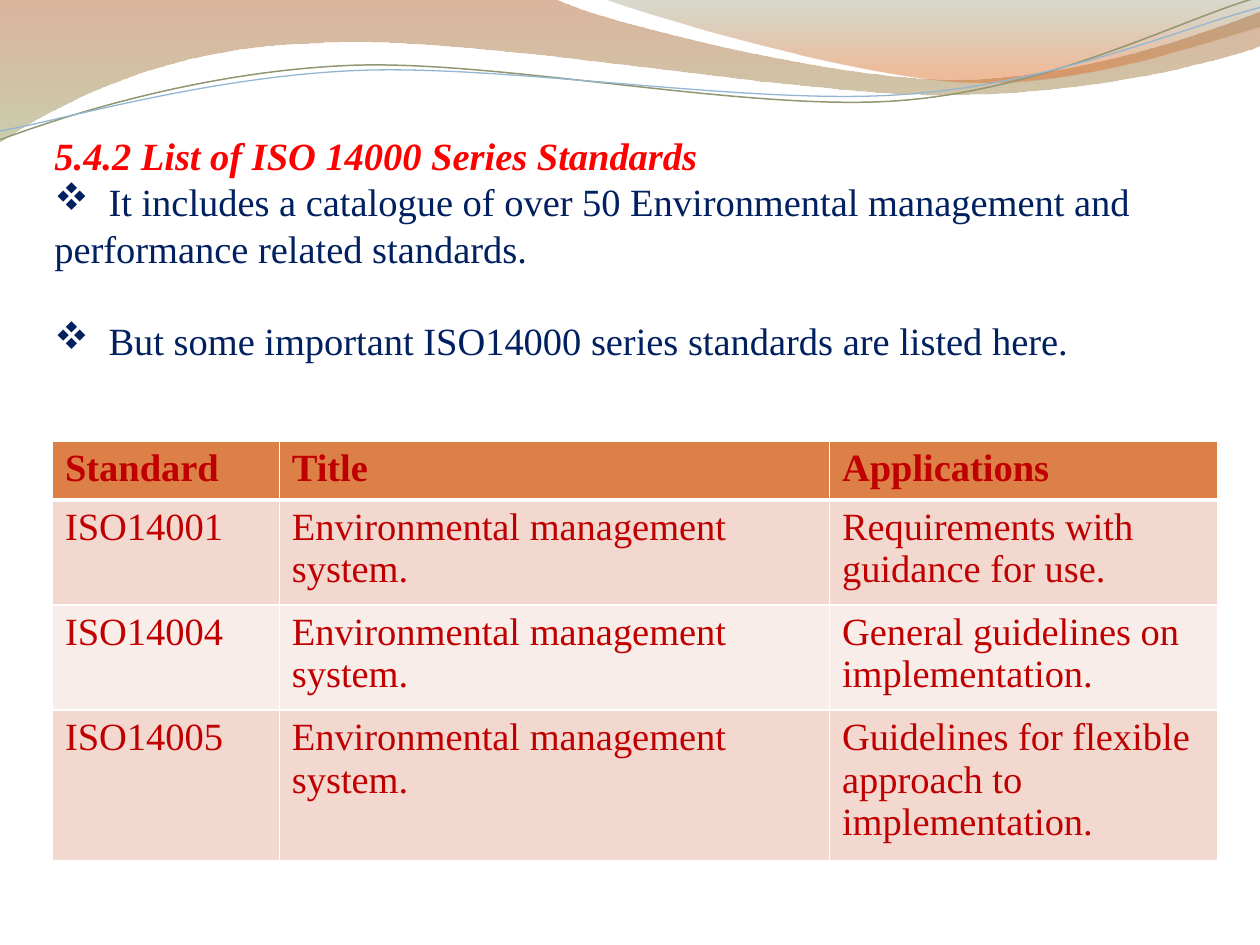
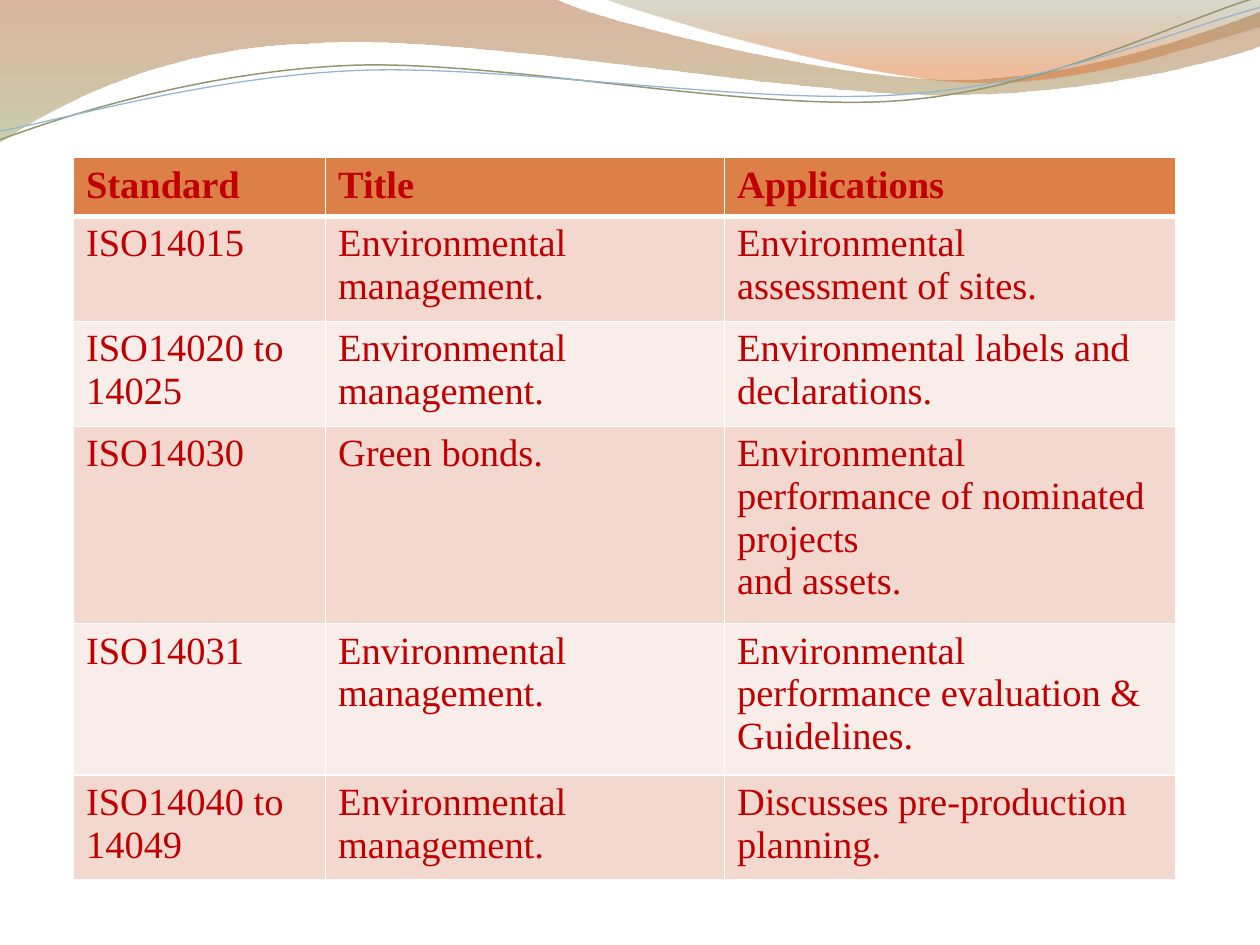
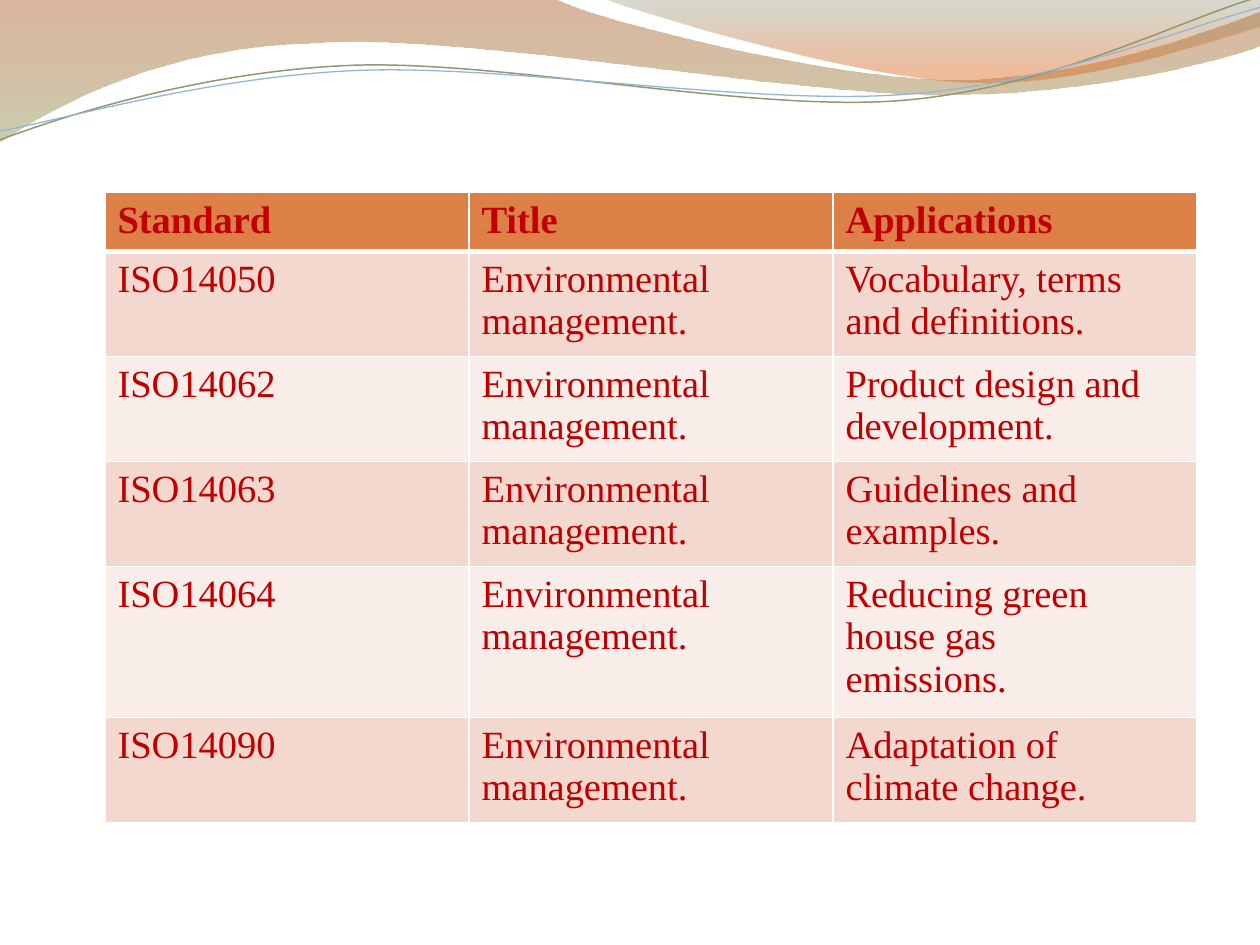
from lxml import etree
from pptx import Presentation
from pptx.dml.color import RGBColor
from pptx.oxml import parse_xml
from pptx.oxml.ns import nsdecls, qn
from pptx.util import Inches, Pt

RED = RGBColor(0xFF, 0x00, 0x00)
NAVY = RGBColor(0x00, 0x20, 0x60)
DARK = RGBColor(0xC0, 0x00, 0x00)
RUST = RGBColor(0xDD, 0x80, 0x47)
ROSE = RGBColor(0xF2, 0xD8, 0xCF)
PALE = RGBColor(0xF9, 0xED, 0xE9)
OLIVE = RGBColor(0x92, 0x97, 0x72)
BLUE = RGBColor(0x94, 0xB6, 0xD2)

PLAIN = {"name": "Times New Roman", "size": Pt(22), "bold": False, "italic": False}
BOLD = {**PLAIN, "bold": True}
TITLE = {**BOLD, "italic": True}

deck = Presentation()
deck.slide_width = Inches(10)
deck.slide_height = Inches(7.5)
COL = deck.slide_width / 120
ROW = deck.slide_height / 90


def style(par, form, color):
    for run in par.runs:
        for key, value in form.items():
            setattr(run.font, key, value)
        run.font.color.rgb = color


def draw(shapes, start, parts, close):
    dots = [(Inches(x), Inches(y)) for part in parts
            for x, y in zip(part[::2], part[1::2])]
    build = shapes.build_freeform(Inches(start[0]), Inches(start[1]))
    build.add_line_segments(dots, close=close)
    shape = build.convert_to_shape()
    lines = iter(list(shape.element.iter(qn("a:lnTo"))))
    for part in parts:
        group = [next(lines) for _ in part[::2]]
        if len(group) == 3:
            curve = etree.Element(qn("a:cubicBezTo"))
            group[0].addprevious(curve)
            for line in group:
                curve.append(line[0])
                line.getparent().remove(line)
    shape.shadow.inherit = False
    return shape


blank = deck.slide_layouts[6]
for holder in list(blank.placeholders):
    holder.element.getparent().remove(holder.element)
slides = [deck.slides.add_slide(blank) for _ in range(3)]

BANDS = [
    ((0, 0), [(4.4, -0.01), (4.76, 0.17, 6.64, 0.63, 7.58, 0.63),
              (8.53, 0.63, 9.58, 0.26, 10, 0.09), (10.01, 0.36),
              (9.83, 0.44, 8.7, 0.76, 7.46, 0.75),
              (6.22, 0.75, 3.82, 0.28, 2.57, 0.34),
              (1.29, 0.36, 0.46, 0.83, -0.01, 1.13), (0, 0)],
     [(0, "AF5C29", 45), (100, "9DA66B", 55)]),
    ((4.79, -0.01), [(5.09, 0.11, 6.82, 0.62, 7.69, 0.65),
                     (8.56, 0.69, 9.61, 0.32, 10, 0.21), (10, 0), (4.79, -0.01)],
     [(0, "7D835B", 30), (80, "DD6B24", 45)]),
]
WAVES = [
    ((0, 1.11), [(0.48, 0.93, 1.58, 0.57, 2.77, 0.52),
                 (3.95, 0.47, 5.93, 0.89, 7.13, 0.8),
                 (8.33, 0.71, 9.38, 0.15, 9.98, -0.02)], OLIVE, 0.85),
    ((0, 1.04), [(0.47, 0.96, 1.64, 0.61, 2.83, 0.56),
                 (4.03, 0.51, 5.97, 0.84, 7.17, 0.75),
                 (8.36, 0.67, 9.41, 0.21, 10, 0.06)], BLUE, 0.75),
]
decor = []
for start, parts, stops in BANDS:
    band = draw(slides[0].shapes, start, parts, True)
    band.line.fill.background()
    marks = "".join(
        f'<a:gs pos="{at * 1000}"><a:srgbClr val="{tint}">'
        f'<a:alpha val="{alpha * 1000}"/></a:srgbClr></a:gs>'
        for at, tint, alpha in stops)
    band.element.spPr.find(qn("a:custGeom")).addnext(parse_xml(
        f'<a:gradFill {nsdecls("a")} rotWithShape="1"><a:gsLst>{marks}</a:gsLst>'
        '<a:lin ang="5400000" scaled="0"/></a:gradFill>'))
    decor.append(band)
for start, parts, tint, width in WAVES:
    wave = draw(slides[0].shapes, start, parts, False)
    wave.fill.background()
    wave.line.color.rgb = tint
    wave.line.width = Pt(width)
    decor.append(wave)
for shape in decor:
    blank.element.cSld.spTree.append(shape.element)

box = slides[0].shapes.add_textbox(
    int(4 * COL), int(12 * ROW), int(105 * COL), int(23.4 * ROW))
frame = box.text_frame
frame.word_wrap = True
LINES = [
    ("5.4.2 List of ISO 14000 Series Standards", TITLE, RED, 0),
    ("It includes a catalogue of over 50 Environmental management and "
     "performance related standards.", PLAIN, NAVY, 0),
    ("But some important ISO14000 series standards are listed here.", PLAIN, NAVY, 26.5),
]
for spot, (text, form, color, gap) in enumerate(LINES):
    par = frame.add_paragraph() if spot else frame.paragraphs[0]
    par.add_run().text = f"\t{text}" if spot else text
    if spot:
        props = par._p.get_or_add_pPr()
        props.set("marL", "0")
        props.set("indent", "0")
        etree.SubElement(props, qn("a:buFont")).set("typeface", "Wingdings")
        etree.SubElement(props, qn("a:buChar")).set("char", "v")
        tabs = etree.SubElement(props, qn("a:tabLst"))
        tab = etree.SubElement(tabs, qn("a:tab"))
        tab.set("pos", str(Inches(0.43)))
        tab.set("algn", "l")
    if gap:
        par.space_before = Pt(gap)
    style(par, form, color)

HEAD = ("Standard", "Title", "Applications")
SYSTEM = "Environmental management system."
MANAGE = "Environmental\nmanagement."
TABLES = [
    (5, 42, (21.6, 52.4, 37), [
        (2, "ISO14001", "Environmental management\nsystem.",
         "Requirements with guidance for use."),
        (2, "ISO14004", SYSTEM, "General guidelines on implementation."),
        (3, "ISO14005", SYSTEM, "Guidelines for flexible approach to implementation."),
    ]),
    (7, 15, (24, 38, 43), [
        (2, "ISO14015", MANAGE, "Environmental\nassessment of sites."),
        (2, "ISO14020 to\n14025", MANAGE, "Environmental labels and declarations."),
        (4, "ISO14030", "Green bonds.",
         "Environmental performance of nominated projects\nand assets."),
        (3, "ISO14031", MANAGE, "Environmental performance evaluation & Guidelines."),
        (2, "ISO14040 to\n14049", MANAGE, "Discusses pre-production planning."),
    ]),
    (10, 18.35, (104 / 3,) * 3, [
        (2, "ISO14050", MANAGE, "Vocabulary, terms\nand definitions."),
        (2, "ISO14062", MANAGE, "Product design and\ndevelopment."),
        (2, "ISO14063", MANAGE, "Guidelines and\nexamples."),
        (3, "ISO14064", MANAGE, "Reducing green\nhouse gas\nemissions."),
        (2, "ISO14090", MANAGE, "Adaptation of\nclimate change."),
    ]),
]
for slide, (left, top, widths, body) in zip(slides, TABLES):
    rows = [(1, *HEAD), *body]
    highs = [int((1.2 + 4.4 * row[0]) * ROW) for row in rows]
    table = slide.shapes.add_table(
        len(rows), 3, int(left * COL), int(top * ROW),
        int(sum(widths) * COL), sum(highs)).table
    for col, width in zip(table.columns, widths):
        col.width = int(width * COL)
    for r, (count, *texts) in enumerate(rows):
        table.rows[r].height = highs[r]
        for c, text in enumerate(texts):
            cell = table.cell(r, c)
            cell.text_frame.text = text
            for par in cell.text_frame.paragraphs:
                style(par, PLAIN if r else BOLD, DARK)
            props = cell._tc.get_or_add_tcPr()
            for side in "LRTB":
                thick = (r, side) in ((0, "B"), (1, "T"))
                props.append(parse_xml(
                    f'<a:ln{side} {nsdecls("a")} w="{Pt(3 if thick else 1)}"><a:solidFill>'
                    f'<a:srgbClr val="FFFFFF"/></a:solidFill></a:ln{side}>'))
            cell.fill.solid()
            cell.fill.fore_color.rgb = (ROSE if r % 2 else PALE) if r else RUST

deck.save("out.pptx")
